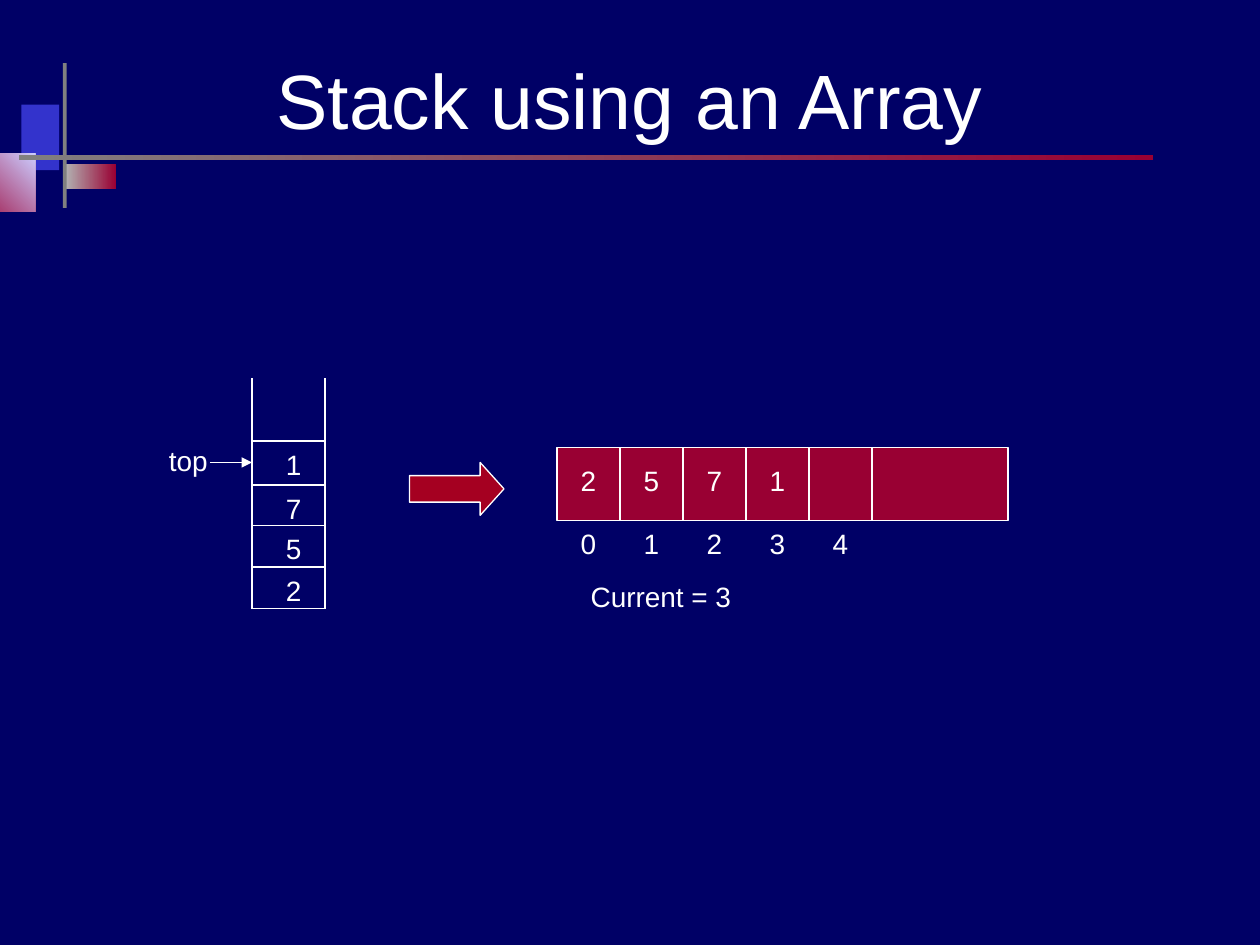
from dataclasses import dataclass

from lxml import etree
from pptx import Presentation
from pptx import util as u
from pptx.dml.color import RGBColor
from pptx.enum import shapes, text
from pptx.oxml import ns


@dataclass(frozen=True)
class Theme:
    font: str = "Arial"
    title_size: int = 44
    label_size: int = 16
    line_width: float = 0.75
    background: str = "000066"
    ink: str = "FFFFFF"
    crimson: str = "990033"
    arrow_red: str = "A50021"
    blue: str = "3333CC"
    lavender: str = "CCCCFF"
    silver: str = "B2B2B2"
    gray: str = "808080"


class SlideBuilder:
    def __init__(self, slide, theme):
        self.slide = slide
        self.theme = theme
        slide.background.fill.solid()
        slide.background.fill.fore_color.rgb = RGBColor.from_string(theme.background)

    def shape(self, kind, left, top, width, height, colors, angle=0, outlined=False):
        shape = self.slide.shapes.add_shape(
            kind, *map(u.Inches, (left, top, width, height)))
        shape.shadow.inherit = False
        if len(colors) == 1:
            shape.fill.solid()
            shape.fill.fore_color.rgb = RGBColor.from_string(colors[0])
        else:
            shape.fill.gradient()
            shape.fill.gradient_angle = angle
            for stop, color in zip(shape.fill.gradient_stops, colors):
                stop.color.rgb = RGBColor.from_string(color)
        if outlined:
            self.outline(shape)
        else:
            shape.line.fill.background()
        return shape

    def outline(self, shape):
        shape.line.color.rgb = RGBColor.from_string(self.theme.ink)
        shape.line.width = u.Pt(self.theme.line_width)

    def line(self, x1, y1, x2, y2, arrow=False):
        connector = self.slide.shapes.add_connector(
            shapes.MSO_CONNECTOR.STRAIGHT, *map(u.Inches, (x1, y1, x2, y2)))
        self.outline(connector)
        properties = connector.element.spPr
        if arrow:
            etree.SubElement(
                properties.find(ns.qn("a:ln")), ns.qn("a:tailEnd"), type="triangle")
        etree.SubElement(properties, ns.qn("a:effectLst"))

    def text(self, words, left, top, width, height, size):
        frame = self.slide.shapes.add_textbox(
            *map(u.Inches, (left, top, width, height))).text_frame
        frame.text = words
        paragraph = frame.paragraphs[0]
        paragraph.alignment = text.PP_ALIGN.CENTER
        font = paragraph.runs[0].font
        font.name = self.theme.font
        font.size = u.Pt(size)
        font.color.rgb = RGBColor.from_string(self.theme.ink)
        return frame

    def title(self, words, left, top, width, height):
        frame = self.text(words, left, top, width, height, self.theme.title_size)
        frame.word_wrap = True
        frame.vertical_anchor = text.MSO_ANCHOR.MIDDLE

    def label(self, words, left, top, width=0.32, height=0.37):
        frame = self.text(words, left, top, width, height, self.theme.label_size)
        frame.word_wrap = False
        frame.auto_size = text.MSO_AUTO_SIZE.SHAPE_TO_FIT_TEXT


def draw_title(page):
    theme = page.theme
    rect = shapes.MSO_SHAPE.RECTANGLE
    page.shape(rect, 0.17, 0.83, 0.3, 0.52, [theme.blue])
    page.shape(rect, 0.52, 1.3, 0.4, 0.2, [theme.silver, theme.crimson])
    page.shape(rect, -0.33, 1.22, 0.61, 0.46, [theme.crimson, theme.lavender], angle=45)
    page.shape(rect, 0.5, 0.5, 0.03, 1.15, [theme.gray])
    page.shape(rect, 0.15, 1.23, 9, 0.04, [theme.gray, theme.crimson])
    page.title("Stack using an Array", 0.5, 0.4, 9, 0.77)


def draw_stack(page):
    left, right, top, bottom = 2, 2.58, 3, 4.83
    for side in (left, right):
        page.line(side, top, side, bottom)
    page.line(left, bottom, right, bottom)
    for value, cell_top in zip("1752", (3.5, 3.85, 4.17, 4.5)):
        page.line(left, cell_top, right, cell_top)
        page.label(value, 2.17, cell_top)
    page.label("top", 1.24, 3.47, 0.51)
    page.line(1.67, 3.67, left, 3.67, arrow=True)


def draw_array(page):
    left, top, width, height, cell = 4.42, 3.55, 3.58, 0.58, 0.5
    page.shape(shapes.MSO_SHAPE.RECTANGLE, left, top, width, height,
               [page.theme.crimson], outlined=True)
    for index, value in enumerate(["2", "5", "7", "1", None]):
        cell_left = left + index * cell
        divider = cell_left + cell
        page.line(divider, top, divider, top + height)
        if value:
            page.label(value, cell_left + 0.09, 3.63)
        page.label(str(index), cell_left + 0.09, 4.13)
    page.label("Current = 3", 4.57, 4.55, 1.35)


def main():
    deck = Presentation()
    deck.slide_width, deck.slide_height = u.Inches(10), u.Inches(7.5)
    theme = Theme()
    page = SlideBuilder(deck.slides.add_slide(deck.slide_layouts[6]), theme)
    draw_title(page)
    draw_stack(page)
    arrow = page.shape(shapes.MSO_SHAPE.RIGHT_ARROW, 3.25, 3.67, 0.75, 0.42,
                       [theme.arrow_red], outlined=True)
    arrow.adjustments[1] = 0.45
    draw_array(page)
    deck.save("out.pptx")


if __name__ == "__main__":
    main()
